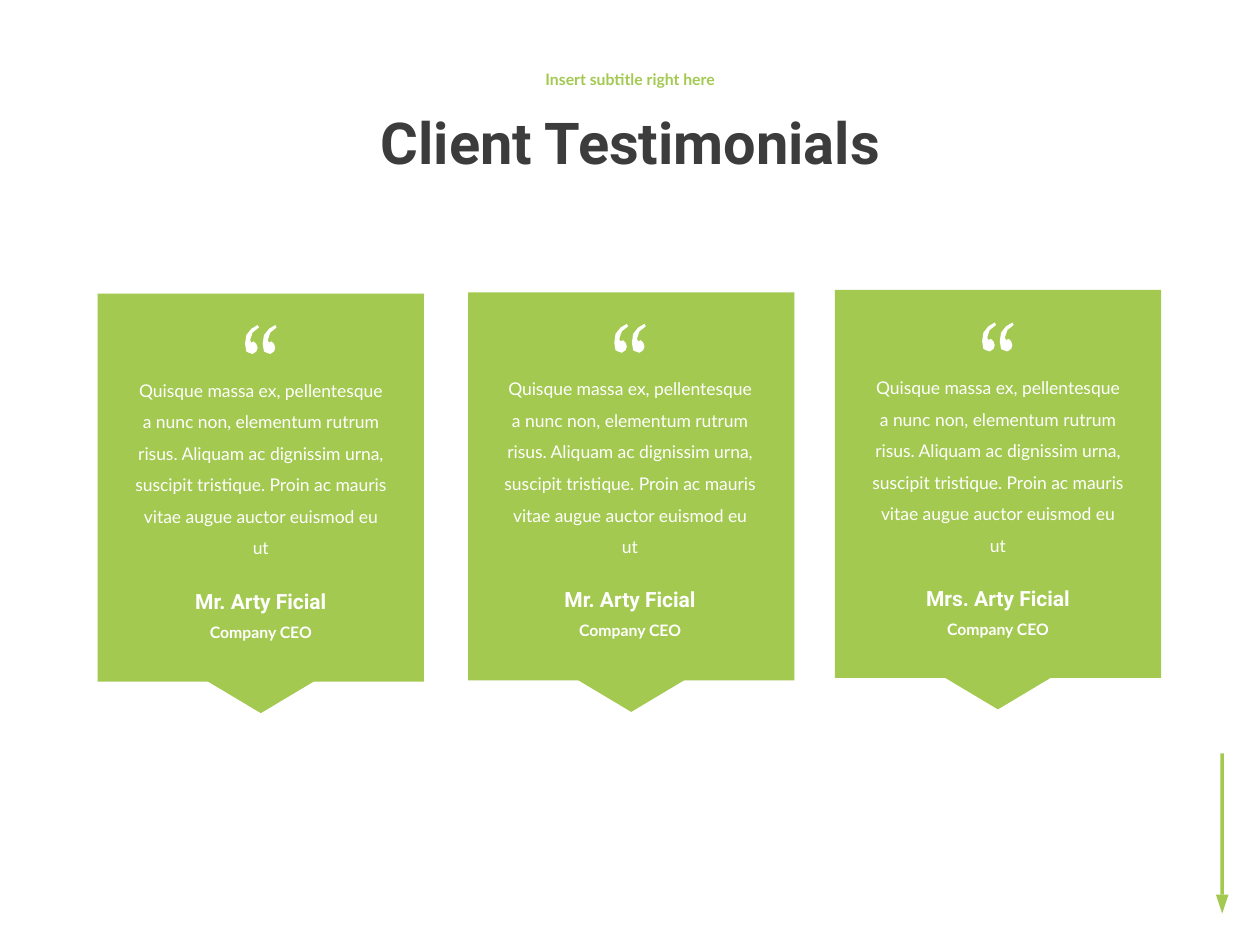
"""Build a slide with three client testimonial cards."""
from pptx import Presentation
from pptx import util as u
from pptx.dml.color import RGBColor
from pptx.enum import shapes, text

COLORS = {"green": "A3C951", "dark": "3C3C3C", "white": "FFFFFF"}
TITLE = "Client Testimonials"
SUBTITLE = "Insert subtitle right here"
QUOTE = ("Quisque massa ex, pellentesque a nunc non, elementum rutrum risus. "
         "Aliquam ac dignissim urna, suscipit tristique. "
         "Proin ac mauris vitae augue auctor euismod eu ut")
ROLE = "Company CEO"
CARDS = [
    {"name": "Mr. Arty Ficial", "center": 2.07, "shift": 0, "top": 2.33, "text_top": 2.88},
    {"name": "Mr. Arty Ficial", "center": 5, "shift": 0.01, "top": 2.32, "text_top": 2.87},
    {"name": "Mrs. Arty Ficial", "center": 7.92, "shift": 0, "top": 2.3, "text_top": 2.86},
]
WIDTH, HEIGHT = 10, 7.5
CARD_WIDTH, CARD_HEIGHT = 2.59, 3.08
POINTER_WIDTH, POINTER_HEIGHT = 0.87, 0.26
ARROW_X, ARROW_TOP, ARROW_NECK = 9.7, 5.98, 7.1

MARK_WIDTH, MARK_GAP, UNITS_PER_INCH = 0.25, 14, 100
MARK_POINTS = [(11, 2), (6, 6), (4, 12), (5, 14), (7, 13), (9, 15), (10, 18), (9, 21),
               (6, 23), (3, 22), (1, 21), (0, 15), (1, 8), (5, 3), (10, 0)]


def color(name):
    return RGBColor.from_string(COLORS[name])


def paint(shape, name):
    shape.shadow.inherit = False
    shape.fill.solid()
    shape.fill.fore_color.rgb = color(name)
    shape.line.fill.background()


def add_block(slide, kind, left, top, width, height, rotation=0):
    shape = slide.shapes.add_shape(
        kind, u.Inches(left), u.Inches(top), u.Inches(width), u.Inches(height))
    shape.rotation = rotation
    paint(shape, "green")


def write(shape, content, size, font, tint, bold=True, spacing=1.0,
          anchor=text.MSO_ANCHOR.TOP):
    frame = shape.text_frame
    frame.text = content
    frame.word_wrap = True
    frame.auto_size = text.MSO_AUTO_SIZE.NONE
    frame.vertical_anchor = anchor
    paragraph = frame.paragraphs[0]
    paragraph.alignment = text.PP_ALIGN.CENTER
    paragraph.line_spacing = spacing
    run_font = paragraph.runs[0].font
    run_font.size = u.Pt(size)
    run_font.name = font
    run_font.bold = bold
    run_font.color.rgb = color(tint)


def add_text(slide, center, top, width, height, *style, **options):
    box = slide.shapes.add_textbox(
        u.Inches(center - width / 2), u.Inches(top), u.Inches(width), u.Inches(height))
    write(box, *style, **options)


def add_quote_mark(slide, left, top):
    second = [(x + MARK_GAP, y) for x, y in MARK_POINTS]
    builder = slide.shapes.build_freeform(
        *MARK_POINTS[0], scale=u.Inches(1) / UNITS_PER_INCH)
    builder.add_line_segments(MARK_POINTS[1:], close=True)
    builder.move_to(*second[0])
    builder.add_line_segments(second[1:], close=True)
    paint(builder.convert_to_shape(u.Inches(left), u.Inches(top)), "white")


def add_card(slide, card):
    center, top, text_top = card["center"], card["top"], card["text_top"]
    middle = center + card["shift"]
    add_block(slide, shapes.MSO_SHAPE.RECTANGLE,
              middle - CARD_WIDTH / 2, top, CARD_WIDTH, CARD_HEIGHT)
    add_block(slide, shapes.MSO_SHAPE.ISOSCELES_TRIANGLE,
              middle - POINTER_WIDTH / 2, top + CARD_HEIGHT - 0.01,
              POINTER_WIDTH, POINTER_HEIGHT, 180)
    add_text(slide, center, text_top + 1.74, 2.19, 0.3, card["name"], 12, "Roboto", "white")
    add_text(slide, center, text_top + 2.01, 1.49, 0.25, ROLE, 9, "Lato", "white")
    add_text(slide, center, text_top, 2.2, 1.86, QUOTE, 10, "Lato", "white",
             bold=False, spacing=1.5)
    add_quote_mark(slide, center - MARK_WIDTH / 2, text_top - 0.3)


def main():
    presentation = Presentation()
    presentation.slide_width = u.Inches(WIDTH)
    presentation.slide_height = u.Inches(HEIGHT)
    slide = presentation.slides.add_slide(presentation.slide_layouts[5])

    title = slide.shapes.title
    title.left, title.top = u.Inches(2.19), u.Inches(0.64)
    title.width, title.height = u.Inches(5.63), u.Inches(1.03)
    write(title, TITLE, 33, "Roboto", "dark", spacing=0.9,
          anchor=text.MSO_ANCHOR.MIDDLE)
    add_text(slide, WIDTH / 2, 0.45, 5.63, 0.38, SUBTITLE, 9, "Lato", "green",
             spacing=0.9, anchor=text.MSO_ANCHOR.MIDDLE)

    for card in CARDS:
        add_card(slide, card)

    add_block(slide, shapes.MSO_SHAPE.RECTANGLE,
              ARROW_X - 0.015, ARROW_TOP, 0.03, ARROW_NECK - ARROW_TOP)
    add_block(slide, shapes.MSO_SHAPE.ISOSCELES_TRIANGLE,
              ARROW_X - 0.05, ARROW_NECK, 0.1, 0.15, 180)
    presentation.save("out.pptx")


if __name__ == "__main__":
    main()
